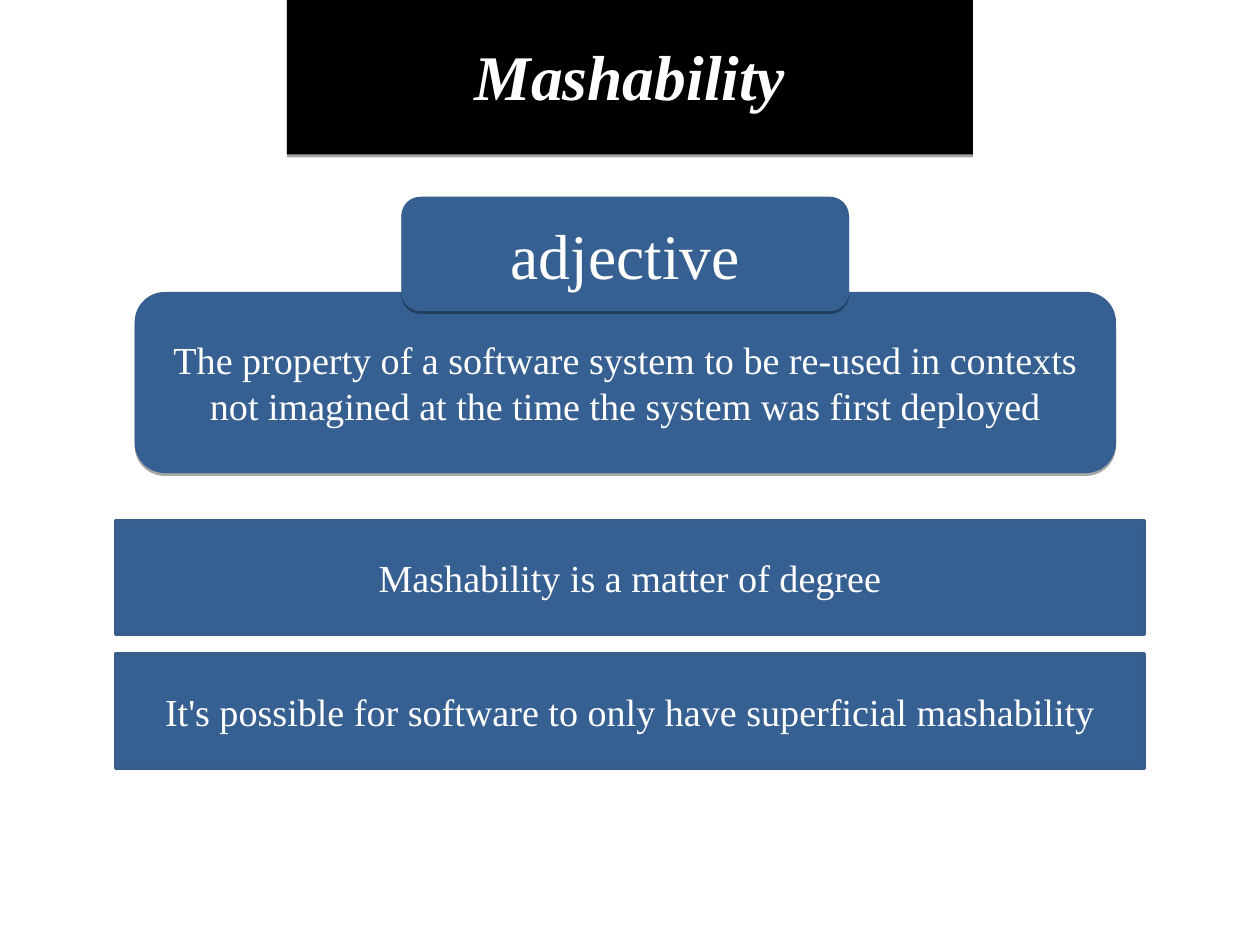
"""Build the Mashability definition slide."""
from dataclasses import dataclass

from lxml.etree import SubElement
from pptx import Presentation
from pptx.dml.color import RGBColor
from pptx.enum.shapes import MSO_SHAPE as Preset
from pptx.enum.text import MSO_ANCHOR as Anchor, PP_ALIGN as Align
from pptx.oxml.ns import qn
from pptx.shapes.autoshape import Shape
from pptx.slide import Slide
from pptx.util import Pt

FONT = "Times New Roman"
BLUE, EDGE, BLACK, WHITE = "376092", "385D8A", "000000", "FFFFFF"
STATEMENTS = (
    "Mashability is a matter of degree",
    "It's possible for software to only have superficial mashability",
)
STATEMENT_TOP, STATEMENT_PITCH = 327.6, 84.1


@dataclass(frozen=True)
class Panel:
    text: str
    left: float
    top: float
    width: float
    height: float
    preset: Preset = Preset.RECTANGLE
    fill: str = BLUE
    edge: str | None = None
    size: float = 24
    emphasis: bool = False


def color(hex_code: str) -> RGBColor:
    return RGBColor.from_string(hex_code)


def add_drop_shadow(shape: Shape) -> None:
    effects = shape._element.spPr.find(qn("a:effectLst"))
    shadow = SubElement(effects, qn("a:outerShdw"), blurRad="0",
                        dist=str(Pt(1.8)), dir="5400000", rotWithShape="0")
    black = SubElement(shadow, qn("a:srgbClr"), val=BLACK)
    SubElement(black, qn("a:alpha"), val="35000")


def draw_panel(slide: Slide, panel: Panel) -> None:
    shape = slide.shapes.add_shape(panel.preset, Pt(panel.left), Pt(panel.top),
                                   Pt(panel.width), Pt(panel.height))
    shape.fill.solid()
    shape.fill.fore_color.rgb = color(panel.fill)
    if panel.edge:
        shape.line.color.rgb = color(panel.edge)
        shape.line.width = Pt(2)
    else:
        shape.line.fill.background()
    shape.shadow.inherit = False
    if not panel.edge:
        add_drop_shadow(shape)

    frame = shape.text_frame
    frame.word_wrap = True
    frame.vertical_anchor = Anchor.MIDDLE
    paragraph = frame.paragraphs[0]
    paragraph.alignment = Align.CENTER
    run = paragraph.add_run()
    run.text = panel.text
    run.font.name = FONT
    run.font.size = Pt(panel.size)
    run.font.bold = run.font.italic = panel.emphasis
    run.font.color.rgb = color(WHITE)


def main() -> None:
    deck = Presentation()
    deck.slide_width, deck.slide_height = Pt(793.44), Pt(595.44)
    slide = deck.slides.add_slide(deck.slide_layouts[6])

    definition = Panel(
        "The property of a software system to be re-used in contexts "
        "not imagined at the time the system was first deployed",
        84.8, 183.8, 618, 114, Preset.ROUNDED_RECTANGLE)
    title = Panel("Mashability", 180.72, -2.16, 432, 99.36,
                  fill=BLACK, size=40, emphasis=True)
    word_class = Panel("adjective", 252.7, 123.84, 282, 72,
                       Preset.ROUNDED_RECTANGLE, size=40)
    statements = [
        Panel(text, 72.72, STATEMENT_TOP + row * STATEMENT_PITCH, 648, 72, edge=EDGE)
        for row, text in enumerate(STATEMENTS)
    ]
    for panel in (definition, title, word_class, *statements):
        draw_panel(slide, panel)
    deck.save("out.pptx")


if __name__ == "__main__":
    main()
